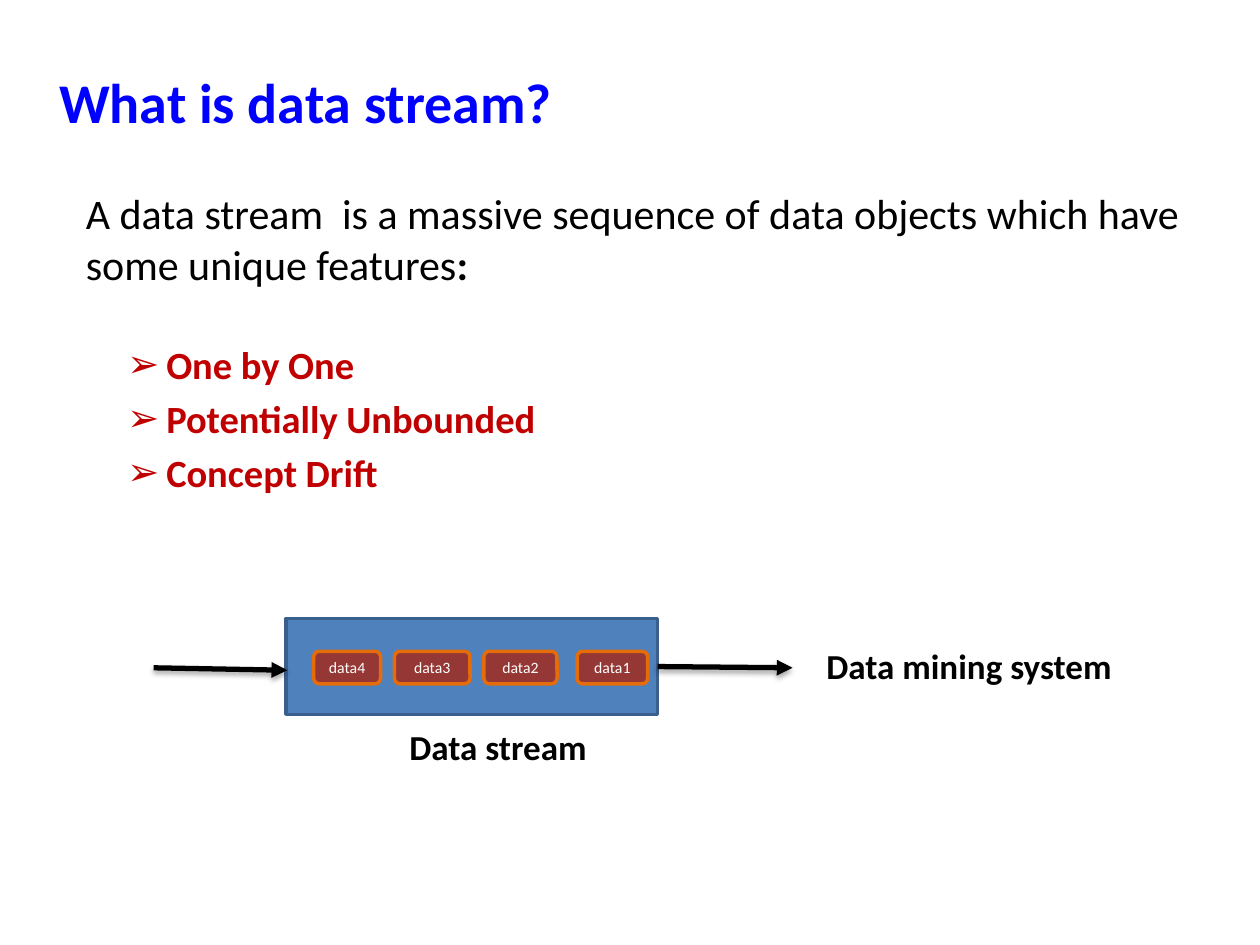
import pptx
import pptx.dml.color
import pptx.enum.shapes
import pptx.enum.text
import pptx.oxml
import pptx.oxml.ns
import pptx.util

Pt = pptx.util.Pt
RGBColor = pptx.dml.color.RGBColor
SHAPE = pptx.enum.shapes.MSO_SHAPE
STRAIGHT = pptx.enum.shapes.MSO_CONNECTOR.STRAIGHT
ALIGN = pptx.enum.text.PP_ALIGN
ANCHOR = pptx.enum.text.MSO_ANCHOR
AUTO_SIZE = pptx.enum.text.MSO_AUTO_SIZE

BLACK = RGBColor(0x00, 0x00, 0x00)
WHITE = RGBColor(0xFF, 0xFF, 0xFF)
BLUE = RGBColor(0x00, 0x00, 0xFF)
RED = RGBColor(0xC0, 0x00, 0x00)
STREAM_FILL = RGBColor(0x4F, 0x81, 0xBD)
STREAM_LINE = RGBColor(0x3A, 0x5F, 0x8C)
ITEM_FILL = RGBColor(0x95, 0x37, 0x35)
ITEM_LINE = RGBColor(0xE4, 0x6C, 0x0A)

NS = pptx.oxml.ns.nsdecls("a")
TAIL = f'<a:tailEnd {NS} type="triangle"/>'
SHADOW = (f'<a:effectLst {NS}><a:outerShdw blurRad="{Pt(3.1)}" dist="{Pt(1.8)}" '
          'dir="5400000" rotWithShape="0"><a:srgbClr val="000000">'
          '<a:alpha val="35000"/></a:srgbClr></a:outerShdw></a:effectLst>')


class StreamSlide:
    font_name = "Calibri"

    def __init__(self, slide):
        self.slide = slide

    def run(self, paragraph, text, size, color, bold=False):
        run = paragraph.add_run()
        run.text = text
        formats = {"name": self.font_name, "size": Pt(size), "bold": bold}
        for attribute, value in formats.items():
            setattr(run.font, attribute, value)
        run.font.color.rgb = color

    def placeholder(self, index, left, top, width, height):
        holder = self.slide.placeholders[index]
        bounds = {"left": left, "top": top, "width": width, "height": height}
        for attribute, value in bounds.items():
            setattr(holder, attribute, Pt(value))
        frame = holder.text_frame
        formats = {"word_wrap": True, "auto_size": AUTO_SIZE.NONE,
                   "vertical_anchor": ANCHOR.TOP}
        for attribute, value in formats.items():
            setattr(frame, attribute, value)
        return frame

    def bullet(self, paragraph, char=None, margin=0, hanging=0, before=0):
        paragraph.space_before = Pt(before)
        properties = paragraph._p.get_or_add_pPr()
        properties.set("marL", str(Pt(margin)))
        properties.set("indent", str(Pt(-hanging)))
        mark = f'<a:buChar {NS} char="{char}"/>' if char else f"<a:buNone {NS}/>"
        properties.append(pptx.oxml.parse_xml(mark))

    def box(self, kind, bounds, fill, line):
        shape = self.slide.shapes.add_shape(kind, *map(Pt, bounds))
        shape.shadow.inherit = False
        shape.fill.solid()
        shape.fill.fore_color.rgb = fill
        shape.line.color.rgb = line
        shape.line.width = Pt(2)
        return shape

    def item(self, text, left, width):
        shape = self.box(SHAPE.ROUNDED_RECTANGLE, (left, 372.2, width, 18.6),
                         ITEM_FILL, ITEM_LINE)
        shape.text_frame.vertical_anchor = ANCHOR.MIDDLE
        paragraph = shape.text_frame.paragraphs[0]
        paragraph.alignment = ALIGN.CENTER
        self.run(paragraph, text, 9, WHITE)

    def label(self, text, left, top, width):
        frame = self.slide.shapes.add_textbox(
            Pt(left), Pt(top), Pt(width), Pt(31.7)).text_frame
        frame.word_wrap = True
        self.run(frame.paragraphs[0], text, 20, BLACK, bold=True)

    def arrow(self, *ends):
        arrow = self.slide.shapes.add_connector(STRAIGHT, *map(Pt, ends))
        arrow.line.color.rgb = BLACK
        arrow.line.width = Pt(3)
        arrow.line._get_or_add_ln().append(pptx.oxml.parse_xml(TAIL))
        arrow._element.spPr.append(pptx.oxml.parse_xml(SHADOW))


def main():
    deck = pptx.Presentation()
    deck.slide_width, deck.slide_height = Pt(720), Pt(540)
    page = StreamSlide(deck.slides.add_slide(deck.slide_layouts[1]))

    # Title
    heading = page.placeholder(0, 26.6, 33.1, 334.8, 38.2)
    heading.margin_top = Pt(5.5)
    heading.paragraphs[0].alignment = ALIGN.LEFT
    page.run(heading.paragraphs[0], "What is data stream?", 32, BLUE, bold=True)

    # Definition and features
    body = page.placeholder(1, 41.8, 103.7, 648, 201.6)
    definition = body.paragraphs[0]
    page.bullet(definition)
    page.run(definition, "A data stream  is a massive sequence of data objects "
             "which have some unique features", 24, BLACK)
    page.run(definition, ":", 24, BLACK, bold=True)
    features = {"One by One": 30, "Potentially Unbounded": 4.4, "Concept Drift": 4.4}
    for text, before in features.items():
        feature = body.add_paragraph()
        feature.level = 1
        page.bullet(feature, "➢", margin=46, hanging=22.3, before=before)
        page.run(feature, text, 22, RED, bold=True)

    # Stream with its data objects
    page.box(SHAPE.RECTANGLE, (163.4, 353.5, 212.4, 54.7), STREAM_FILL, STREAM_LINE)
    items = [("data1", 329.8, 40.3), ("data2", 276.5, 41.8),
             ("data3", 225.4, 43.2), ("data4", 179.3, 38.2)]
    for text, left, width in items:
        page.item(text, left, width)

    # Flow into and out of the stream
    page.arrow(87.8, 381.6, 164.2, 383)
    page.arrow(375.8, 380.9, 452.9, 381.6)

    # Labels
    page.label("Data stream", 226.8, 411.1, 154.1)
    page.label("Data mining system", 465.1, 365, 206.6)

    deck.save("out.pptx")


if __name__ == "__main__":
    main()
